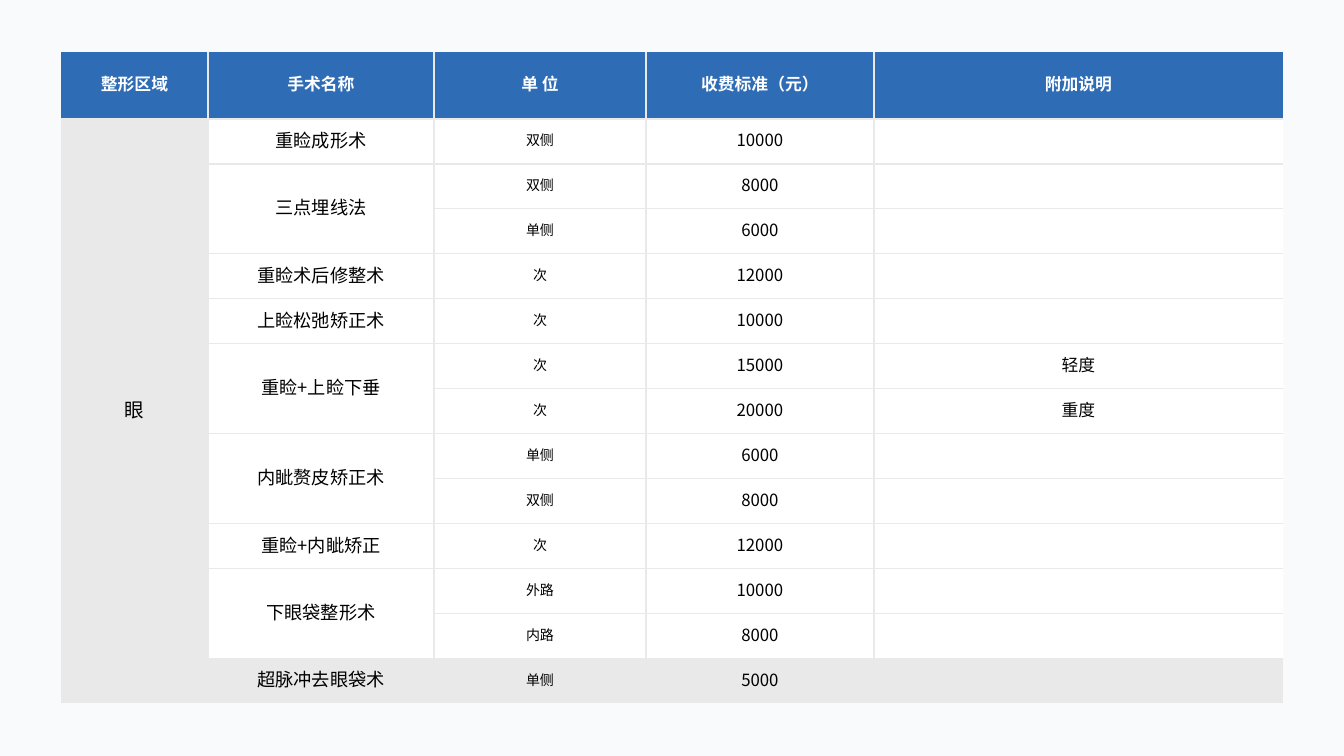
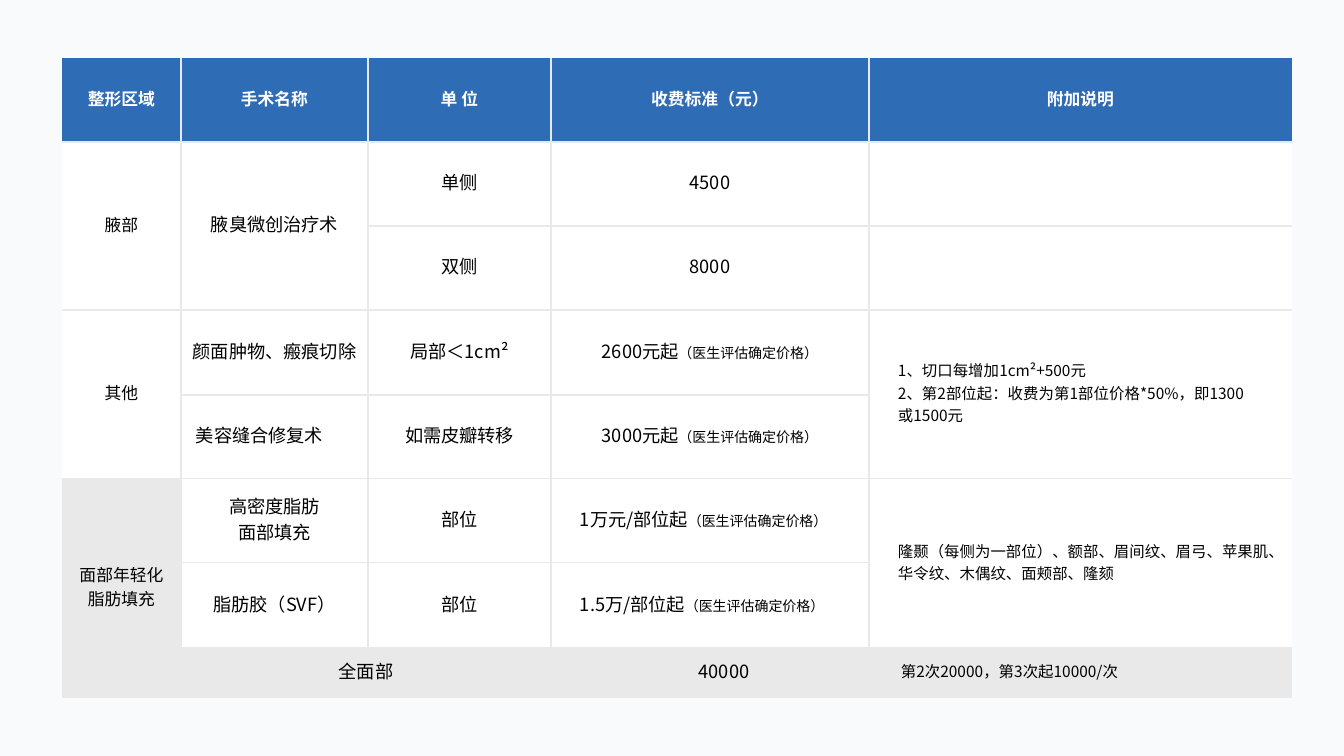
import dataclasses

import lxml.etree
import pptx
import pptx.dml.color
import pptx.enum.text
import pptx.oxml.ns
import pptx.util

qn = pptx.oxml.ns.qn
CENTER = pptx.enum.text.PP_ALIGN.CENTER
LEFT = pptx.enum.text.PP_ALIGN.LEFT
ABOVE, BESIDE = "^", "<"


@dataclasses.dataclass(frozen=True)
class Theme:
    """Colours, fonts and type sizes of the price lists."""
    page: str = "F9FAFB"
    header: str = "2E6CB5"
    header_text: str = "FFFFFF"
    body: str = "FFFFFF"
    closing: str = "E9E9E9"
    text: str = "000000"
    rule: str = "E9E9E9"
    font: str = "Noto Sans CJK SC"
    remark_font: str = "Calibri"
    header_size: int = 12
    caveat_size: int = 10
    rule_width: int = 1


THEME = Theme()
HEADINGS = ["整形区域", "手术名称", "单 位", "收费标准（元）", "附加说明"]
CAVEAT = "（医生评估确定价格）"


@dataclasses.dataclass(frozen=True)
class Entry:
    """Cell text with its indent, alignment and small closing caveat."""
    text: str
    indent: int = 0
    align: object = CENTER
    caveat: str = ""


EYE_ROWS = [
    ["眼", "重睑成形术", "双侧", "10000", ""],
    [ABOVE, "三点埋线法", "双侧", "8000", ""],
    [ABOVE, ABOVE, "单侧", "6000", ""],
    [ABOVE, "重睑术后修整术", "次", "12000", ""],
    [ABOVE, "上睑松弛矫正术", "次", "10000", ""],
    [ABOVE, "重睑+上睑下垂", "次", "15000", "轻度"],
    [ABOVE, ABOVE, "次", "20000", "重度"],
    [ABOVE, "内眦赘皮矫正术", "单侧", "6000", ""],
    [ABOVE, ABOVE, "双侧", "8000", ""],
    [ABOVE, "重睑+内眦矫正", "次", "12000", ""],
    [ABOVE, "下眼袋整形术", "外路", "10000", ""],
    [ABOVE, ABOVE, "内路", "8000", ""],
    [ABOVE, "超脉冲去眼袋术", "单侧", "5000", ""],
]

BODY_ROWS = [
    ["腋部", "腋臭微创治疗术", "单侧", "4500", ""],
    [ABOVE, ABOVE, "双侧", "8000", ""],
    ["其他", "颜面肿物、瘢痕切除", "局部＜1cm²", Entry("2600元起", caveat=CAVEAT),
     Entry("1、切口每增加1cm²+500元\n2、第2部位起：收费为第1部位价格*50%，即1300\n或1500元", 28, LEFT)],
    [ABOVE, Entry("美容缝合修复术", 14, LEFT), "如需皮瓣转移",
     Entry("3000元起", caveat=CAVEAT), ABOVE],
    ["面部年轻化\n脂肪填充", "高密度脂肪\n面部填充", "部位",
     Entry("1万元/部位起", 28, LEFT, CAVEAT),
     Entry("隆颞（每侧为一部位）、额部、眉间纹、眉弓、苹果肌、\n华令纹、木偶纹、面颊部、隆颏", 28, LEFT)],
    [ABOVE, "脂肪胶（SVF）", "部位", Entry("1.5万/部位起", 28, LEFT, CAVEAT), ABOVE],
    [ABOVE, "全面部", BESIDE, Entry("40000", 28),
     Entry("第2次20000，第3次起10000/次", 31, LEFT)],
]


def px(count):
    """Turn px into EMU on a slide 1344 px wide."""
    return pptx.util.Emu(round(count * 12192000 / 1344))


def rgb(code):
    """Turn a hex code into a colour."""
    return pptx.dml.color.RGBColor.from_string(code)


def run_length(grid, row, col, marker):
    """Count the cells that an entry covers down or across."""
    down, across = (1, 0) if marker == ABOVE else (0, 1)
    count = 1
    while (row + down * count < len(grid) and col + across * count < len(grid[0])
           and grid[row + down * count][col + across * count] == marker):
        count += 1
    return count


def set_rules(cell, sides):
    """Draw the cell's rules on the given sides and clear the others."""
    properties = cell._tc.get_or_add_tcPr()
    for position, side in enumerate("LRTB"):
        line = lxml.etree.Element(qn("a:ln" + side), w=str(pptx.util.Pt(THEME.rule_width)))
        if side in sides:
            paint = lxml.etree.SubElement(line, qn("a:solidFill"))
            lxml.etree.SubElement(paint, qn("a:srgbClr"), val=THEME.rule)
        else:
            lxml.etree.SubElement(line, qn("a:noFill"))
        properties.insert(position, line)


def style_paragraph(paragraph, entry, size, color, bold, latin):
    """Set a paragraph's alignment, indent and font."""
    paragraph.alignment = entry.align
    if entry.indent:
        paragraph._p.get_or_add_pPr().set("marL", str(px(entry.indent)))
        paragraph._p.pPr.set("indent", "0")
    font = paragraph.font
    font.size = pptx.util.Pt(size)
    font.bold = bold
    font.color.rgb = rgb(color)
    font.name = latin
    defaults = paragraph._p.pPr.find(qn("a:defRPr"))
    lxml.etree.SubElement(defaults, qn("a:ea"), typeface=THEME.font)


def write_entry(cell, entry, size, color, bold, latin):
    """Write an entry's lines and its caveat into a cell."""
    cell.vertical_anchor = pptx.enum.text.MSO_ANCHOR.MIDDLE
    cell.margin_left = cell.margin_right = cell.margin_top = px(1)
    cell.margin_bottom = px(5)
    frame = cell.text_frame
    for number, line in enumerate(entry.text.split("\n")):
        paragraph = frame.add_paragraph() if number else frame.paragraphs[0]
        if line:
            paragraph.add_run().text = line
        style_paragraph(paragraph, entry, size, color, bold, latin)
    if entry.caveat:
        caveat = paragraph.add_run()
        caveat.text = entry.caveat
        caveat.font.size = pptx.util.Pt(THEME.caveat_size)


def add_price_list(deck, left, top, widths, heights, rows, sizes, remark_font):
    """Add a slide with one price list."""
    slide = deck.slides.add_slide(deck.slide_layouts[6])
    grid = [HEADINGS] + rows
    prices = slide.shapes.add_table(len(grid), len(widths), px(left), px(top),
                                    px(sum(widths)), px(sum(heights))).table
    prices.first_row = prices.horz_banding = False
    for column, width in zip(prices.columns, widths):
        column.width = px(width)
    for row, height in zip(prices.rows, heights):
        row.height = px(height)
    for r, line in enumerate(grid):
        for c, content in enumerate(line):
            if content not in (ABOVE, BESIDE):
                fill_block(prices, grid, r, c, sizes[c],
                           remark_font if c == len(line) - 1 else THEME.font)


def fill_block(prices, grid, r, c, size, latin):
    """Write, merge, fill and rule the block that starts at a cell."""
    content = grid[r][c]
    entry = content if isinstance(content, Entry) else Entry(content)
    bottom = r + run_length(grid, r, c, ABOVE)
    right = c + run_length(grid, r, c, BESIDE)
    if r == 0:
        fill = THEME.header
        write_entry(prices.cell(r, c), entry, THEME.header_size, THEME.header_text, True, THEME.font)
    else:
        fill = THEME.closing if bottom == len(grid) else THEME.body
        write_entry(prices.cell(r, c), entry, size, THEME.text, False, latin)
    inner = {"L": c > 0, "R": right < len(grid[0]), "T": r > 0, "B": bottom < len(grid)}
    sides = [side for side, ruled in inner.items() if ruled]
    for row in range(r, bottom):
        for col in range(c, right):
            cell = prices.cell(row, col)
            cell.fill.solid()
            cell.fill.fore_color.rgb = rgb(fill)
            set_rules(cell, sides)
    if (bottom, right) != (r + 1, c + 1):
        prices.cell(r, c).merge(prices.cell(bottom - 1, right - 1))


def main():
    """Build and save the price lists."""
    deck = pptx.Presentation()
    deck.slide_width, deck.slide_height = px(1344), px(756)
    page = deck.slide_master.background.fill
    page.solid()
    page.fore_color.rgb = rgb(THEME.page)
    add_price_list(deck, 61, 52, [147, 226, 212, 228, 409], [67] + [45] * len(EYE_ROWS),
                   EYE_ROWS, [14, 13, 10, 12, 12], THEME.remark_font)
    add_price_list(deck, 62, 58, [119, 187, 183, 318, 423], [84, 84, 84, 85, 84, 84, 85, 50],
                   BODY_ROWS, [12, 13, 13, 13, 11], THEME.font)
    deck.save("out.pptx")


if __name__ == "__main__":
    main()
